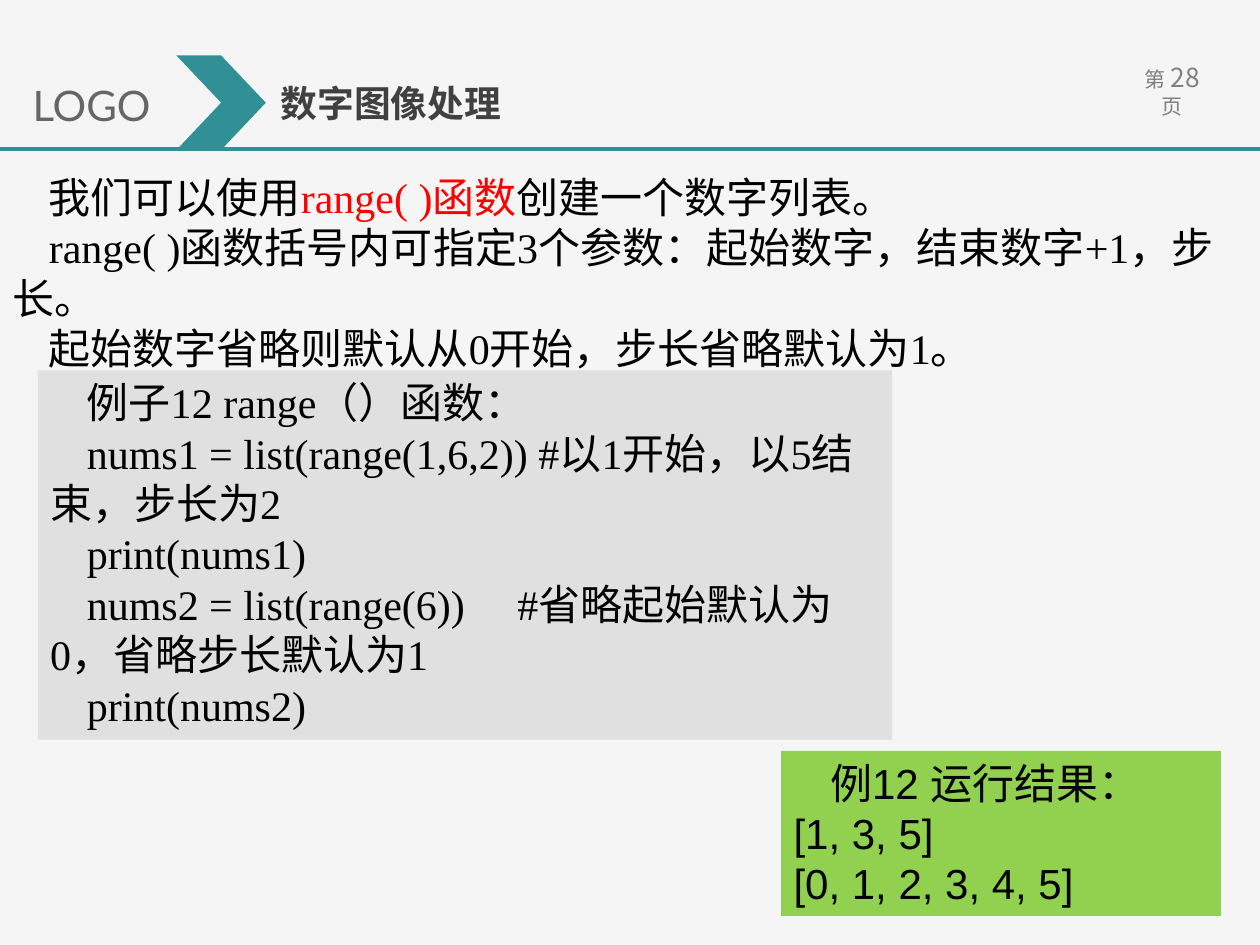
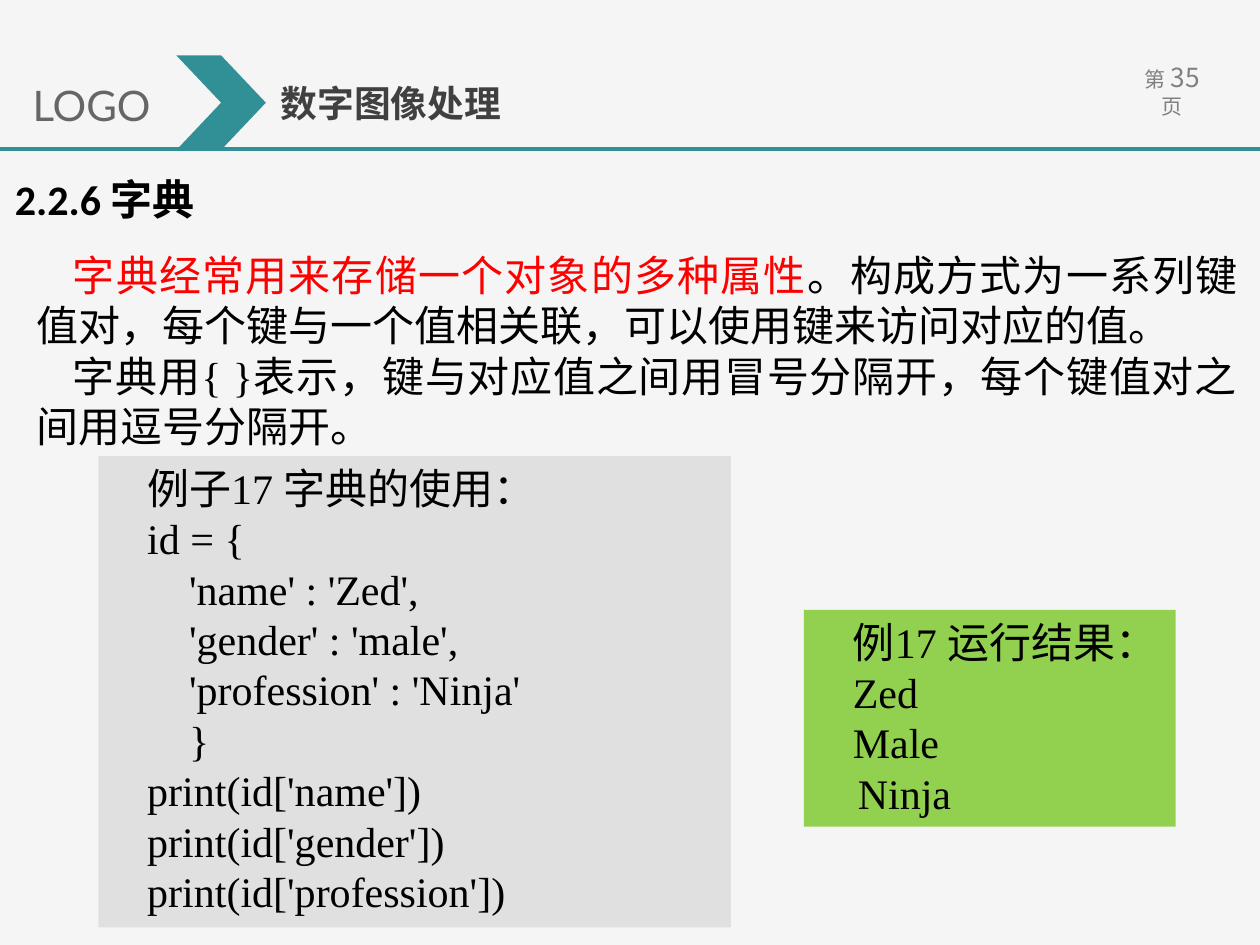
from dataclasses import dataclass
from typing import Optional

from lxml.etree import SubElement
from pptx import Presentation
from pptx.dml.color import RGBColor
from pptx.enum.shapes import MSO_CONNECTOR as CONNECTOR, MSO_SHAPE as SHAPE
from pptx.enum.text import MSO_ANCHOR as ANCHOR, PP_ALIGN as ALIGN
from pptx.oxml.ns import qn
from pptx.util import Inches, Pt

PAPER = RGBColor(0xF5, 0xF5, 0xF5)
TEAL = RGBColor(0x31, 0x90, 0x95)
CODE_GREY = RGBColor(0xE0, 0xE0, 0xE0)
RESULT_GREEN = RGBColor(0x92, 0xD0, 0x50)
BLACK = RGBColor(0, 0, 0)
RED = RGBColor(0xFF, 0, 0)
TITLE_GREY = RGBColor(0x40, 0x40, 0x40)
LOGO_GREY = RGBColor(0x66, 0x66, 0x66)
PAGE_GREY = RGBColor(0x80, 0x80, 0x80)

CJK = "Noto Sans CJK SC"
SERIF = "Times New Roman"
INDENT = 0.29


@dataclass(frozen=True)
class Run:
    text: str
    color: Optional[RGBColor] = None
    size: Optional[float] = None


@dataclass(frozen=True)
class Para:
    runs: tuple[Run, ...]
    indent: float = 0


@dataclass(frozen=True)
class Block:
    """A text area; with a fill it becomes a coloured panel."""
    box: tuple[float, float, float, float]
    paras: list[Para]
    font: str = SERIF
    size: float = 24
    color: RGBColor = BLACK
    bold: bool = False
    align: ALIGN = ALIGN.LEFT
    fill: Optional[RGBColor] = None
    wrap: bool = True
    side_margin: float = 0.1


def lines(*texts: str, indent: float = 0) -> list[Para]:
    return [Para((Run(text),), indent) for text in texts]


def style_run(r, run: Run, block: Block) -> None:
    r.text = run.text
    r.font.size = Pt(run.size or block.size)
    r.font.bold = block.bold
    r.font.color.rgb = run.color or block.color
    r.font.name = block.font
    SubElement(r.font._element, qn("a:ea"), typeface=CJK)


def add_filled(slide, kind: SHAPE, box: tuple, color: RGBColor):
    sp = slide.shapes.add_shape(kind, *map(Inches, box))
    sp.shadow.inherit = False
    sp.fill.solid()
    sp.fill.fore_color.rgb = color
    sp.line.fill.background()
    return sp


def add_block(slide, block: Block) -> None:
    if block.fill is None:
        sp = slide.shapes.add_textbox(*map(Inches, block.box))
    else:
        sp = add_filled(slide, SHAPE.RECTANGLE, block.box, block.fill)
    tf = sp.text_frame
    tf.word_wrap = block.wrap
    tf.vertical_anchor = ANCHOR.TOP
    tf.margin_left = tf.margin_right = Inches(block.side_margin)
    for i, para in enumerate(block.paras):
        p = tf.add_paragraph() if i else tf.paragraphs[0]
        p.alignment = block.align
        if para.indent:
            pPr = p._p.get_or_add_pPr()
            pPr.set("marL", "0")
            pPr.set("indent", str(Inches(para.indent)))
        for run in para.runs:
            style_run(p.add_run(), run, block)


def add_header(slide, page: int) -> None:
    page_runs = (Run("第", size=12), Run(" ", size=13.5), Run(str(page), size=15),
                 Run(" ", size=13.5), Run("页", size=12))
    add_block(slide, Block((8.84, 0.44, 0.93, 0.35), [Para(page_runs)], font=CJK,
                           color=PAGE_GREY, align=ALIGN.CENTER, side_margin=0.15))
    rule = slide.shapes.add_connector(CONNECTOR.STRAIGHT, Inches(0), Inches(1.18),
                                      Inches(10), Inches(1.18))
    rule.line.color.rgb = TEAL
    rule.line.width = Pt(2.25)
    SubElement(rule._element.spPr, qn("a:effectLst"))
    add_block(slide, Block((2.13, 0.59, 6.03, 0.45), lines("数字图像处理"), font=CJK,
                           size=21, color=TITLE_GREY, bold=True))
    add_filled(slide, SHAPE.CHEVRON, (1.4, 0.44, 0.71, 0.75), TEAL)
    add_block(slide, Block((0.16, 0.58, 1.25, 0.51), lines("LOGO"), font="Lato",
                           color=LOGO_GREY, wrap=False))


def add_page(prs, page: int, blocks: list[Block]) -> None:
    slide = prs.slides.add_slide(prs.slide_layouts[6])
    slide.background.fill.solid()
    slide.background.fill.fore_color.rgb = PAPER
    add_header(slide, page)
    for block in blocks:
        add_block(slide, block)


RANGE_PAGE = [
    Block((0.3, 2.94, 6.78, 2.93), lines(
        "例子12 range（）函数：",
        "nums1 = list(range(1,6,2)) #以1开始，以5结束，步长为2",
        "print(nums1)",
        "nums2 = list(range(6))     #省略起始默认为0，省略步长默认为1",
        "print(nums2)",
        indent=INDENT), fill=CODE_GREY),
    Block((6.2, 5.96, 3.49, 1.31),
          lines("例12 运行结果：", indent=INDENT) + lines("[1, 3, 5]", "[0, 1, 2, 3, 4, 5]"),
          font="Arial", fill=RESULT_GREEN),
    Block((0, 1.31, 9.73, 1.72), [
        Para((Run("我们可以使用"), Run("range( )函数", RED), Run("创建一个数字列表。")), INDENT),
        *lines("range( )函数括号内可指定3个参数：起始数字，结束数字+1，步长。",
               "起始数字省略则默认从0开始，步长省略默认为1。", indent=INDENT),
    ], align=ALIGN.JUSTIFY),
]

DICT_PAGE = [
    Block((0.19, 1.93, 9.73, 1.72), [
        Para((Run("字典经常用来存储一个对象的多种属性", RED),
              Run("。构成方式为一系列键值对，每个键与一个值相关联，可以使用键来访问对应的值。")), INDENT),
        *lines("字典用{ }表示，键与对应值之间用冒号分隔开，每个键值对之间用逗号分隔开。",
               indent=INDENT),
    ], align=ALIGN.JUSTIFY),
    Block((0.78, 3.62, 5.02, 3.74), lines(
        "例子17 字典的使用：",
        "id = {",
        "    'name' : 'Zed',",
        "    'gender' : 'male',",
        "    'profession' : 'Ninja'",
        "    }",
        "print(id['name'])",
        "print(id['gender'])",
        "print(id['profession'])",
        indent=INDENT), fill=CODE_GREY),
    Block((6.38, 4.84, 2.95, 1.72),
          lines("例17 运行结果：", "Zed", "Male", indent=INDENT) + lines("Ninja", indent=0.33),
          fill=RESULT_GREEN),
    Block((0.02, 1.33, 2.76, 0.5), lines("2.2.6 字典"), font="Calibri", bold=True),
]


def main() -> None:
    prs = Presentation()
    prs.slide_width, prs.slide_height = Inches(10), Inches(7.5)
    add_page(prs, 28, RANGE_PAGE)
    add_page(prs, 35, DICT_PAGE)
    prs.save("out.pptx")


if __name__ == "__main__":
    main()
